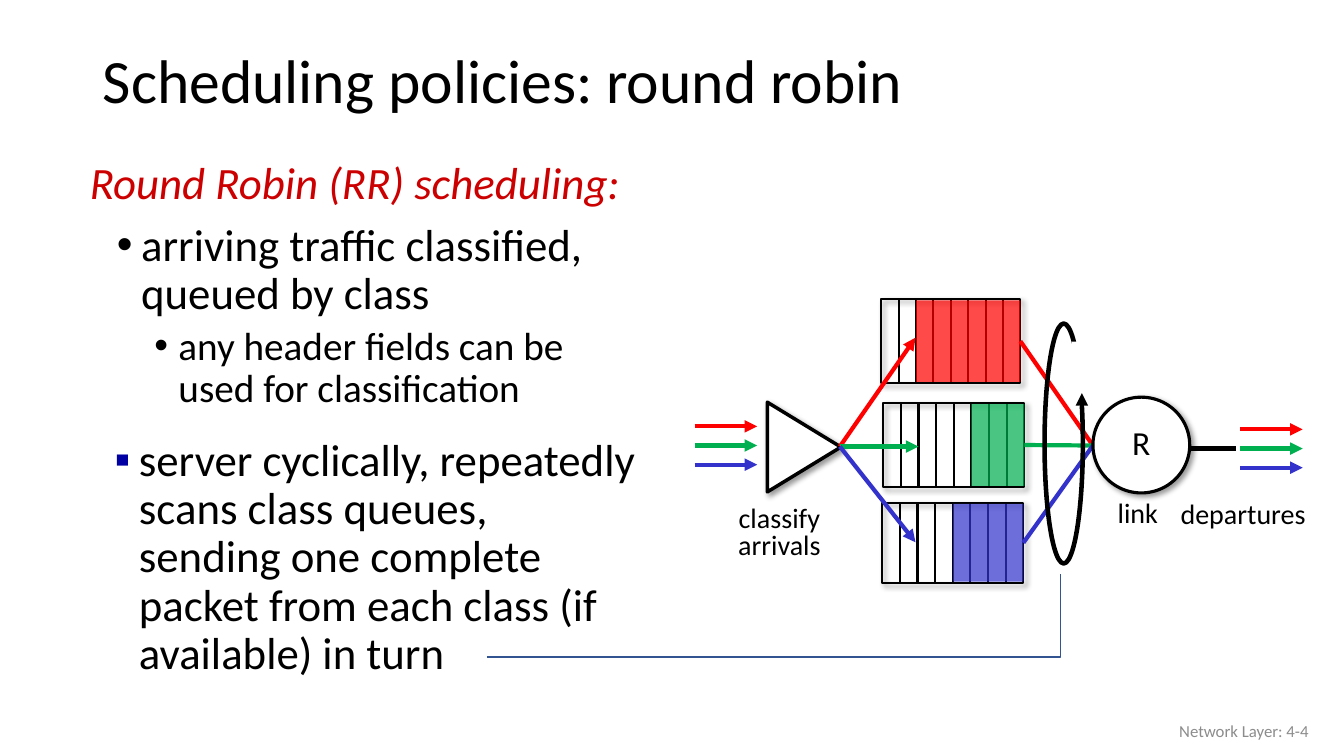
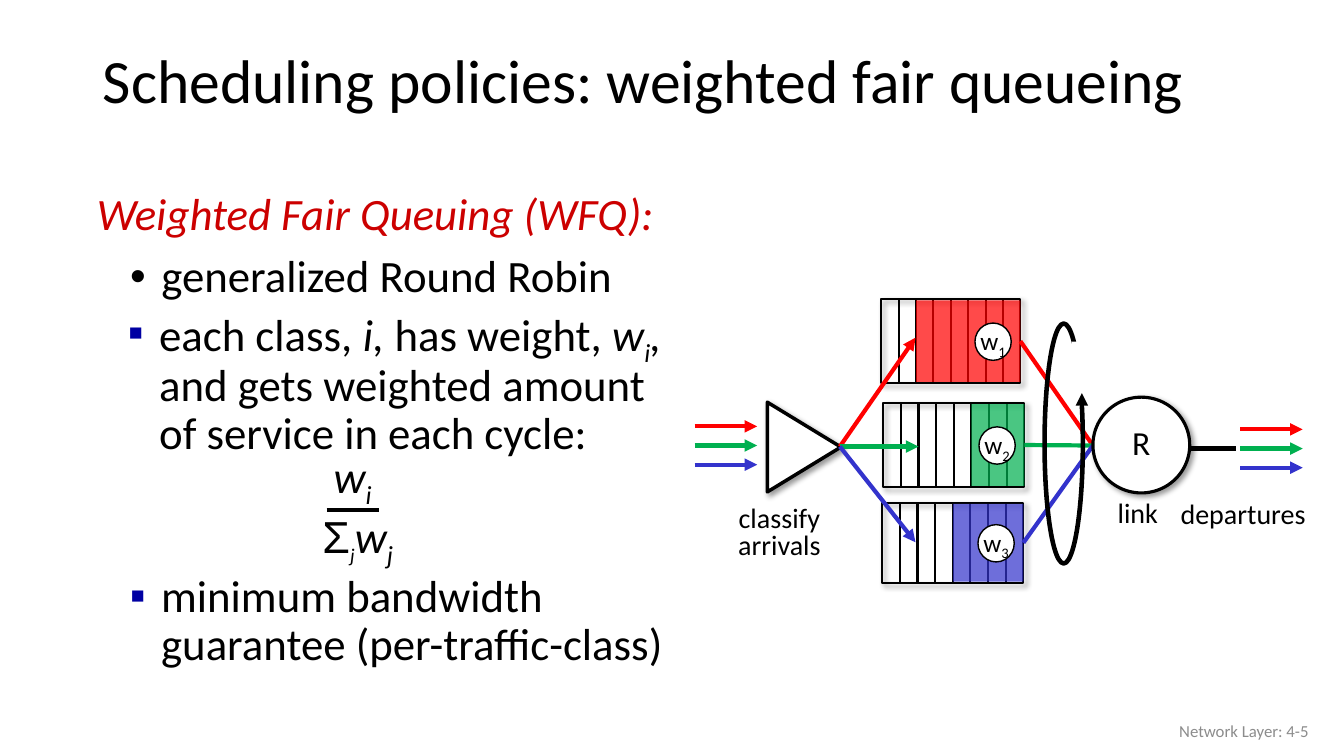
"""Build two slides on packet scheduling policies."""
from dataclasses import dataclass
from typing import NamedTuple, Optional

from lxml.etree import SubElement
from pptx import Presentation
from pptx.dml.color import RGBColor
from pptx.enum.shapes import MSO_CONNECTOR, MSO_SHAPE
from pptx.enum.text import MSO_ANCHOR, MSO_AUTO_SIZE, PP_ALIGN
from pptx.oxml.ns import qn
from pptx.util import Inches, Pt


@dataclass(frozen=True)
class Theme:
    font: str = "Calibri"
    math: str = "Arial"
    ink: str = "000000"
    paper: str = "FFFFFF"
    key: str = "CC0000"
    mark: str = "0000A3"
    red: str = "FF0000"
    green: str = "00B050"
    blue: str = "3333CC"
    guide: str = "325491"
    gray: str = "8C8C8C"
    title: int = 44
    body: int = 32
    minor: int = 28
    index: int = 24
    label: int = 20
    weight: int = 18
    foot: int = 12


THEME = Theme()


class Box(NamedTuple):
    left: float
    top: float
    width: float
    height: float


class Point(NamedTuple):
    x: float
    y: float


@dataclass(frozen=True)
class Bit:
    text: str
    size: int = THEME.body
    color: str = THEME.ink
    slant: bool = False
    sub: bool = False
    font: str = THEME.font


@dataclass(frozen=True)
class Line:
    bits: tuple[Bit, ...]
    margin: float = 0
    hang: float = 0
    bullet: str = ""
    tint: str = THEME.ink
    level: int = 0
    before: int = 0
    space: float = 0.9
    align: PP_ALIGN = PP_ALIGN.LEFT


@dataclass(frozen=True)
class Lane:
    color: str
    box: Box
    empty: int
    tip: Point

    @property
    def right(self) -> float:
        return self.box.left + self.box.width

    @property
    def middle(self) -> float:
        return self.box.top + self.box.height / 2


CELLS = 8
LANES = (
    Lane(THEME.red, Box(8.74, 2.97, 1.38, 0.83), 2, Point(9.08, 3.35)),
    Lane(THEME.green, Box(8.76, 4, 1.4, 0.83), 5, Point(9.11, 4.43)),
    Lane(THEME.blue, Box(8.75, 4.99, 1.4, 0.79), 4, Point(9.08, 5.38)),
)
SPLIT = Point(8.33, 4.43)
MERGE = Point(10.84, 4.42)
FLOWS = (Point(6.89, 4.23), Point(12.3, 4.26))


def place(item, box: Box) -> None:
    """Move and size a shape."""
    item.left, item.top, item.width, item.height = map(Inches, box)


def write(frame, lines: tuple[Line, ...], wrap: bool = True,
          anchor: MSO_ANCHOR = MSO_ANCHOR.TOP) -> None:
    """Fill a text frame with styled lines."""
    frame.auto_size = MSO_AUTO_SIZE.NONE
    frame.word_wrap = wrap
    frame.vertical_anchor = anchor
    for num, line in enumerate(lines):
        para = frame.add_paragraph() if num else frame.paragraphs[0]
        para.text = line.bits[0].text
        para.level = line.level
        para.alignment = line.align
        para.line_spacing = line.space
        para.space_before = Pt(line.before)
        props = para._p.get_or_add_pPr()
        props.set("marL", str(Inches(line.margin)))
        props.set("indent", str(Inches(-line.hang)))
        if line.bullet:
            tint = SubElement(props, qn("a:buClr"))
            SubElement(tint, qn("a:srgbClr"), val=line.tint)
            SubElement(props, qn("a:buFont"), typeface=THEME.math)
            SubElement(props, qn("a:buChar"), char=line.bullet)
        else:
            SubElement(props, qn("a:buNone"))
        runs = [para.runs[0]] + [para.add_run() for _ in line.bits[1:]]
        for run, bit in zip(runs, line.bits):
            run.text = bit.text
            run.font.name = bit.font
            run.font.size = Pt(bit.size)
            run.font.italic = bit.slant
            run.font.color.rgb = RGBColor.from_string(bit.color)
            if bit.sub:
                run._r.get_or_add_rPr().set("baseline", "-25000")


def note(slide, box: Box, *lines: Line, wrap: bool = True,
         anchor: MSO_ANCHOR = MSO_ANCHOR.TOP) -> None:
    """Add a text box."""
    item = slide.shapes.add_textbox(*map(Inches, box))
    write(item.text_frame, lines, wrap, anchor)


def label(slide, box: Box, *words: str) -> None:
    """Add a centred caption, one word a line."""
    note(slide, box, *(Line((Bit(word, THEME.label),), space=0.8,
                            align=PP_ALIGN.CENTER) for word in words), wrap=False)


def shape(slide, kind: MSO_SHAPE, box: Box, fill: Optional[str] = None,
          width: float = 0, shade: bool = False, alpha: int = 100):
    """Add a preset shape with an optional outline, shadow and opacity."""
    item = slide.shapes.add_shape(kind, *map(Inches, box))
    item.shadow.inherit = False
    if fill:
        item.fill.solid()
        item.fill.fore_color.rgb = RGBColor.from_string(fill)
        if alpha < 100:
            tone = item._element.spPr.find(".//" + qn("a:srgbClr"))
            SubElement(tone, qn("a:alpha"), val=str(alpha * 1000))
    else:
        item.fill.background()
    if width:
        item.line.color.rgb = RGBColor.from_string(THEME.ink)
        item.line.width = Pt(width)
    else:
        item.line.fill.background()
    if shade:
        cast = SubElement(item._element.spPr.find(qn("a:effectLst")),
                          qn("a:outerShdw"), blurRad=str(Pt(4)), dist=str(Pt(3)),
                          dir="2700000", algn="tl", rotWithShape="0")
        tone = SubElement(cast, qn("a:srgbClr"), val=THEME.ink)
        SubElement(tone, qn("a:alpha"), val="40000")
    return item


def disc(slide, box: Box, width: float, *bits: Bit, shade: bool = False) -> None:
    """Add a white disc with centred text."""
    item = shape(slide, MSO_SHAPE.OVAL, box, THEME.paper, width, shade)
    frame = item.text_frame
    frame.margin_left = frame.margin_right = 0
    frame.margin_top = frame.margin_bottom = 0
    write(frame, (Line(bits, align=PP_ALIGN.CENTER),), False, MSO_ANCHOR.MIDDLE)


def link(slide, start: Point, end: Point, color: str = THEME.ink,
         width: float = 3, arrow: bool = False):
    """Add a straight line or arrow."""
    item = slide.shapes.add_connector(MSO_CONNECTOR.STRAIGHT,
                                      *map(Inches, (*start, *end)))
    item.line.color.rgb = RGBColor.from_string(color)
    item.line.width = Pt(width)
    if arrow:
        SubElement(item.line._get_or_add_ln(), qn("a:tailEnd"), type="triangle")
    SubElement(item._element.spPr, qn("a:effectLst"))
    return item


def queue(slide, lane: Lane):
    """Draw a queue of cells, the last of them filled."""
    left, top, width, height = lane.box
    pitch = width / CELLS
    frame = shape(slide, MSO_SHAPE.RECTANGLE, lane.box, width=1.5, shade=True)
    for num in range(1, CELLS):
        x = left + num * pitch
        link(slide, Point(x, top), Point(x, top + height), width=1.5)
    start = left + lane.empty * pitch
    shape(slide, MSO_SHAPE.RECTANGLE,
          Box(start, top + 0.01, lane.right - start, height - 0.02),
          lane.color, alpha=71)
    return frame


def server(slide) -> None:
    """Draw the classifier, the queues and the output link."""
    link(slide, Point(11.76, 4.45), Point(12.26, 4.45))
    frames = [queue(slide, lane) for lane in LANES]
    gate = shape(slide, MSO_SHAPE.ISOSCELES_TRIANGLE, Box(7.53, 4.07, 0.89, 0.73),
                 THEME.paper, 2.5, True)
    gate.rotation = 90
    for x, top in FLOWS:
        for num, lane in enumerate(LANES):
            y = top + num * 0.19
            link(slide, Point(x, y), Point(x + 0.62, y), lane.color, arrow=True)
    label(slide, Box(7.19, 4.98, 1.08, 0.65), "classify", "arrivals")
    label(slide, Box(11.6, 4.94, 1.46, 0.38), "departures")
    for lane, frame in zip(LANES, frames):
        link(slide, SPLIT, lane.tip, lane.color, arrow=True)
        wire = link(slide, Point(lane.right, lane.middle), MERGE, lane.color)
        wire.begin_connect(frame, 3)
    disc(slide, Box(10.84, 3.94, 0.96, 0.95), 2.25, Bit("R", THEME.index), shade=True)
    label(slide, Box(10.98, 4.93, 0.61, 0.38), "link")
    shape(slide, MSO_SHAPE.OVAL, Box(10.36, 3.21, 0.38, 2.38), width=3.25)
    shape(slide, MSO_SHAPE.RECTANGLE, Box(10.63, 3.39, 0.21, 0.64), THEME.paper)
    link(slide, Point(10.73, 4.18), Point(10.73, 3.9), arrow=True)


def begin(deck, title: str, box: Box, lines: tuple[Line, ...], page: str):
    """Start a slide with its title, list, diagram and footer."""
    slide = deck.slides.add_slide(deck.slide_layouts[1])
    head, body = slide.shapes.title, slide.placeholders[1]
    place(head, Box(0.92, 0.34, 11.5, 0.98))
    write(head.text_frame, (Line((Bit(title, THEME.title),)),),
          anchor=MSO_ANCHOR.MIDDLE)
    place(body, box)
    write(body.text_frame, lines)
    server(slide)
    foot = Bit(f"Network Layer: {page}", THEME.foot, THEME.gray)
    note(slide, Box(10.08, 7.05, 3, 0.4),
         Line((foot,), space=1, align=PP_ALIGN.RIGHT), anchor=MSO_ANCHOR.MIDDLE)
    return slide


def lead(text: str) -> Line:
    """Make the red opening line of a list."""
    return Line((Bit(text, color=THEME.key, slant=True),), 0.25, 0.25)


def point(*bits: Bit, margin: float = 0.64, hang: float = 0.31) -> Line:
    """Make a line with a square blue bullet."""
    return Line(bits, margin, hang, "▪", THEME.mark)


def robin(deck) -> None:
    """Build the round robin slide."""
    slide = begin(deck, "Scheduling policies: round robin", Box(0.79, 1.54, 5.64, 2.75), (
        lead("Round Robin (RR) scheduling:"),
        Line((Bit("arriving traffic classified, queued by class"),),
             0.51, 0.24, "•", before=10),
        Line((Bit("any header fields can be used for classification", THEME.minor),),
             0.88, 0.24, "•", level=1, before=5)), "4-4")
    note(slide, Box(0.77, 4.29, 5.64, 2.57), point(
        Bit("server cyclically, repeatedly scans class queues, sending one "
            "complete packet from each class (if available) in turn"),
        margin=0.51, hang=0.24))
    pen = slide.shapes.build_freeform(Inches(4.83), Inches(6.52))
    pen.add_line_segments([(Inches(10.52), Inches(6.52)),
                           (Inches(10.52), Inches(5.69))], close=False)
    guide = pen.convert_to_shape()
    guide.shadow.inherit = False
    guide.fill.background()
    guide.line.color.rgb = RGBColor.from_string(THEME.guide)
    guide.line.width = Pt(1)


def fair(deck) -> None:
    """Build the weighted fair queueing slide."""
    slide = begin(deck, "Scheduling policies: weighted fair queueing",
                  Box(0.86, 1.85, 6.08, 1.22), (
                      lead("Weighted Fair Queuing (WFQ):"),
                      Line((Bit("generalized Round Robin"),), 0.64, 0.31, "•",
                           before=10)), "4-5")
    for num, lane in enumerate(LANES, 1):
        disc(slide, Box(lane.right - 0.45, lane.middle - 0.18, 0.36, 0.37), 1,
             Bit("w", THEME.weight), Bit(str(num), THEME.weight, sub=True))
    share = Bit("w", slant=True)
    low = Bit("i", slant=True, sub=True)
    note(slide, Box(3.21, 4.4, 0.59, 0.64), Line((share, low), space=1), wrap=False)
    note(slide, Box(3.1, 5, 0.93, 0.64), Line((
        Bit("Σ", font=THEME.math), Bit("j", THEME.index, slant=True, sub=True),
        share, Bit("j", slant=True, sub=True)), space=1), wrap=False)
    link(slide, Point(3.24, 5.06), Point(3.76, 5.06))
    note(slide, Box(0.84, 3, 6.08, 1.55), point(
        Bit("each class, "), Bit("i, ", slant=True), Bit("has weight, "), share, low,
        Bit(", ", slant=True), Bit("and gets weighted amount of service in each cycle:")))
    note(slide, Box(0.86, 5.64, 6.08, 1.15),
         point(Bit("minimum bandwidth guarantee (per-traffic-class)")))


def main() -> None:
    """Build and save the deck."""
    deck = Presentation()
    deck.slide_width, deck.slide_height = Inches(13.33), Inches(7.5)
    robin(deck)
    fair(deck)
    deck.save("out.pptx")


if __name__ == "__main__":
    main()
